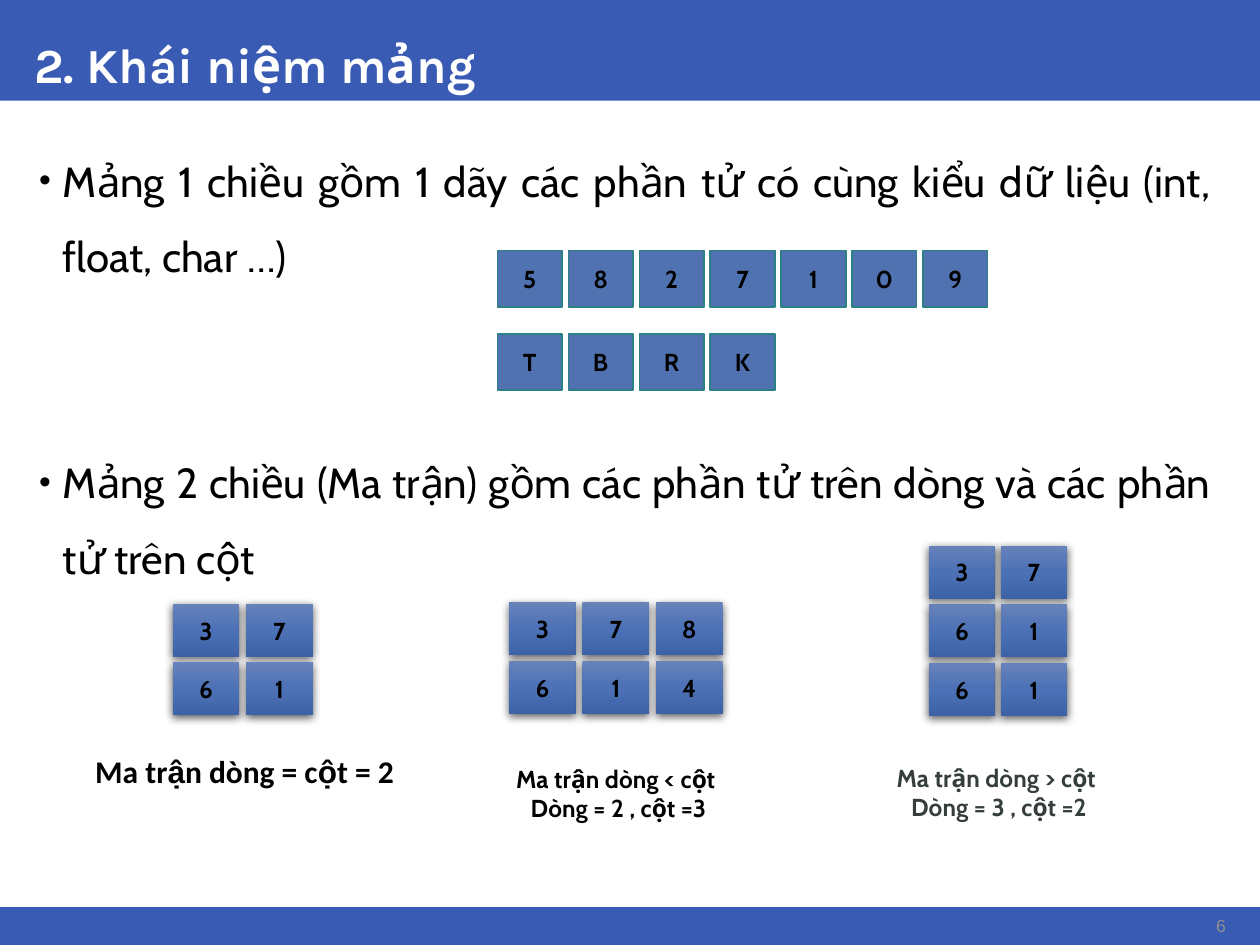
from copy import deepcopy

from pptx import Presentation
from pptx import util as u
from pptx.dml.color import RGBColor
from pptx.enum import shapes, text
from pptx.oxml import parse_xml
from pptx.oxml.ns import nsdecls, qn

# Content; every length is in centimetres
WIDTH, HEIGHT = 25.4, 19.05
BLUE, BLACK, WHITE = "3A5BB3", "000000", "FFFFFF"
CELL_GRADIENT = [(0, "6882BA"), (0.5, "4C71B6"), (1, "3E62A6")]
BARS = [(0, 2.03), (18.29, 0.76)]  # top, height
TITLE = "2. Khái niệm mảng"
BULLETS = [
    "Mảng 1 chiều gồm 1 dãy các phần tử có cùng kiểu dữ liệu (int, float, char …)",
    "Mảng 2 chiều (Ma trận) gồm các phần tử trên dòng và các phần tử trên cột",
]
ARRAYS = [(5.05, "5827109"), (6.73, "TBRK")]  # top, values
MATRICES = [  # left, top, column step, rows
    (3.48, 12.17, 1.48, ["37", "61"]),
    (10.26, 12.14, 1.48, ["378", "614"]),
    (18.72, 11.0, 1.45, ["37", "61", "61"]),
]
CAPTIONS = [  # left, top, height, size, colour, lines of (text, font) runs
    (1.63, 15.01, 1.07, 18, BLACK,
     [[("Ma tr", "Calibri"), ("ậ", "Arial"), ("n dòng = c", "Calibri"),
       ("ộ", "Arial"), ("t = 2", "Calibri")]]),
    (9.17, 15.27, 1.45, 14, BLACK,
     [[("Ma trận dòng < cột ", "Cabin")], [("Dòng = 2 , cột =3", "Cabin")]]),
    (16.84, 15.24, 1.45, 14, "363D3D",
     [[("Ma trận dòng > cột ", "Cabin")], [("Dòng = 3 , cột =2", "Cabin")]]),
]

LEFT, CENTER = text.PP_ALIGN.LEFT, text.PP_ALIGN.CENTER
RIGHT, JUSTIFY = text.PP_ALIGN.RIGHT, text.PP_ALIGN.JUSTIFY
TOP, MIDDLE, BOTTOM = (text.MSO_ANCHOR.TOP, text.MSO_ANCHOR.MIDDLE,
                       text.MSO_ANCHOR.BOTTOM)


def color(value):
    return RGBColor.from_string(value)


def write(shape, lines, size, ink, bold=False, align=CENTER, anchor=MIDDLE):
    """Fill a shape with lines, each a list of (text, font) runs."""
    frame = shape.text_frame
    frame.word_wrap = True
    frame.vertical_anchor = anchor
    frame.margin_left = frame.margin_right = u.Cm(0.13)
    frame.margin_top = frame.margin_bottom = u.Cm(0.13)
    for index, line in enumerate(lines):
        paragraph = frame.add_paragraph() if index else frame.paragraphs[0]
        paragraph.alignment = align
        for words, font_name in line:
            run = paragraph.add_run()
            run.text = words
            run.font.name = font_name
            run.font.size = u.Pt(size)
            run.font.bold = bold
            run.font.color.rgb = color(ink)
    return frame


def add_text(box, *args, **options):
    return write(slide.shapes.add_textbox(*map(u.Cm, box)), *args, **options)


def add_rectangle(parent, box, fill=None):
    shape = parent.shapes.add_shape(shapes.MSO_SHAPE.RECTANGLE, *map(u.Cm, box))
    shape.shadow.inherit = False
    shape.line.fill.background()
    if fill:
        shape.fill.solid()
        shape.fill.fore_color.rgb = color(fill)
    return shape


def add_raised_look(shape):
    """Give a matrix cell its three-stop gradient and soft shadow."""
    shape.fill.gradient()
    shape.fill.gradient_angle = 270
    properties = shape._element.spPr
    stops = next(properties.iter(qn("a:gsLst")))
    stops.append(deepcopy(stops[-1]))
    for stop, (position, value) in zip(shape.fill.gradient_stops, CELL_GRADIENT):
        stop.position = position
        stop.color.rgb = color(value)
    properties.find(qn("a:effectLst")).append(parse_xml(
        f'<a:outerShdw {nsdecls("a")} blurRad="{u.Pt(5)}" dist="{u.Pt(1.5)}" '
        'dir="5400000" rotWithShape="0"><a:srgbClr val="000000">'
        '<a:alpha val="63000"/></a:srgbClr></a:outerShdw>'))


def add_bullet(paragraph):
    properties = paragraph._p.get_or_add_pPr()
    properties.set("marL", str(u.Cm(0.58)))
    properties.set("indent", str(u.Cm(-0.48)))
    for tag in ('buSzPct {} val="80000"', 'buFont {} typeface="Arial"',
                'buChar {} char="•"'):
        properties.append(parse_xml(f'<a:{tag.format(nsdecls("a"))}/>'))


presentation = Presentation()
presentation.slide_width, presentation.slide_height = u.Cm(WIDTH), u.Cm(HEIGHT)
slide = presentation.slides.add_slide(presentation.slide_layouts[6])

# Bars, title and page number
for top, height in BARS:
    add_rectangle(slide, (0, top, WIDTH, height), BLUE)
title = add_text((0.56, 0, 24.31, 2.03), [[(TITLE, "Karla")]], 28, WHITE,
                 bold=True, align=LEFT, anchor=BOTTOM)
title.paragraphs[0].line_spacing = 0.9
number = add_text((24.38, 18.31, 0.46, 0.71), [[("6", "Arial")]], 10, "8E8F8F",
                  align=RIGHT)
number.word_wrap = False

# Bulleted text, with room for the arrays between the two points
body = add_text((0.56, 2.49, 23.98, 15.37), [[(line, "Cabin")] for line in BULLETS],
                24, BLACK, align=JUSTIFY, anchor=TOP)
for paragraph in body.paragraphs:
    add_bullet(paragraph)
    paragraph.line_spacing = 1.5
body.paragraphs[1].space_before = u.Pt(86)

# One-dimensional arrays
arrays = slide.shapes.add_group_shape()
for top, values in ARRAYS:
    for column, value in enumerate(values):
        cell = add_rectangle(arrays, (10.03 + 1.43 * column, top, 1.3, 1.14), "5172B1")
        cell.line.color.rgb = color("2A8082")
        cell.line.width = u.Pt(1)
        write(cell, [[(value, "Cabin")]], 14, BLACK, bold=True)

# Matrices
for left, top, step, rows in MATRICES:
    matrix = slide.shapes.add_group_shape()
    for row, values in enumerate(rows):
        for column, value in enumerate(values):
            cell = add_rectangle(
                matrix, (left + step * column, top + 1.18 * row, 1.35, 1.07))
            add_raised_look(cell)
            write(cell, [[(value, "Cabin")]], 14, BLACK, bold=True)

# Captions
for left, top, height, size, ink, lines in CAPTIONS:
    add_text((left, top, 6.6, height), lines, size, ink, bold=True)

presentation.save("out.pptx")
